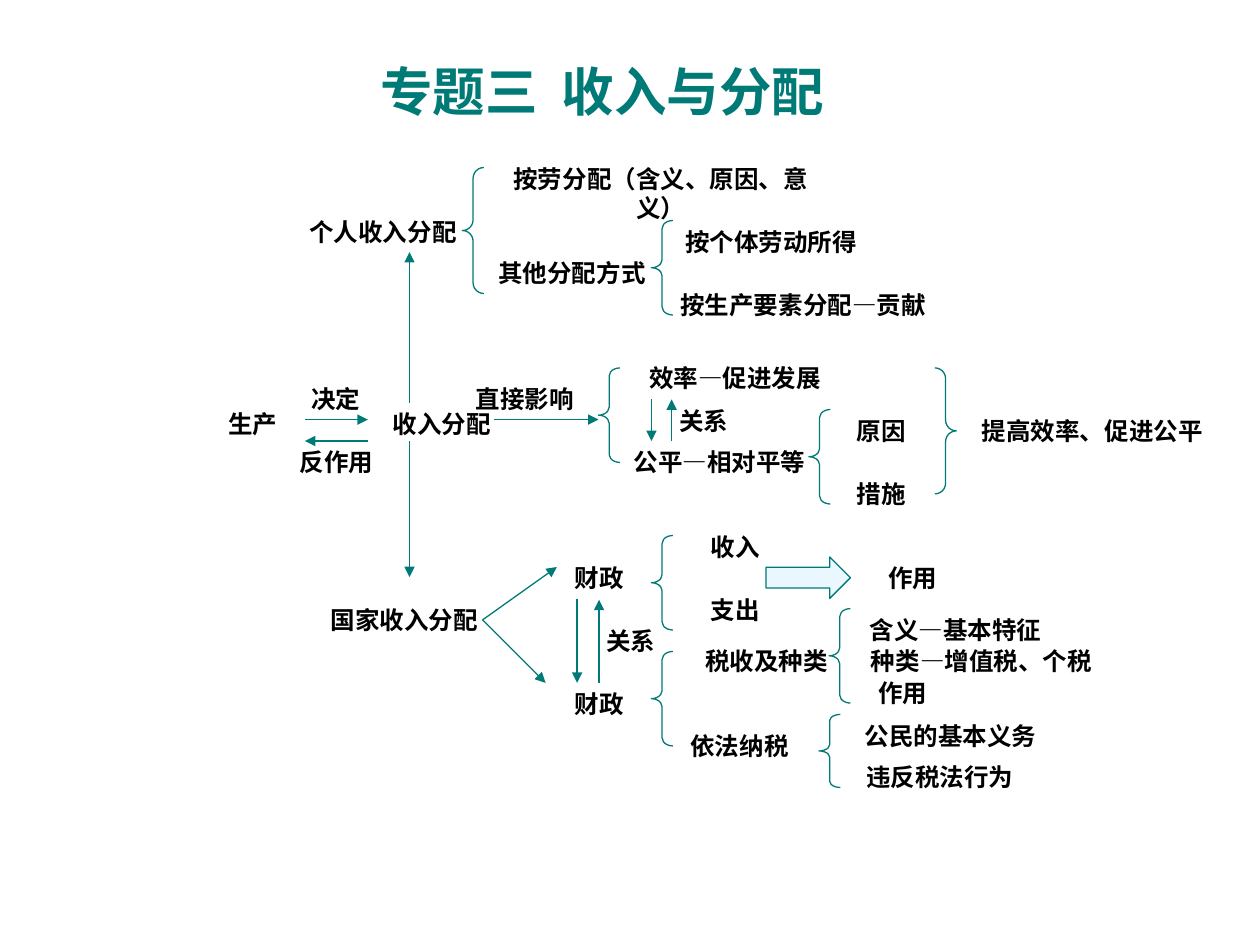
"""Build the concept map slide on income and distribution."""
import lxml.etree
import pptx
import pptx.dml.color
import pptx.enum.shapes
import pptx.enum.text
import pptx.oxml.ns
import pptx.util

TEAL = pptx.dml.color.RGBColor(0x00, 0x7A, 0x77)
PALE_BLUE = pptx.dml.color.RGBColor(0xEB, 0xF7, 0xFF)
BLACK = pptx.dml.color.RGBColor(0x00, 0x00, 0x00)
Inches = pptx.util.Inches
Shapes = pptx.enum.shapes.MSO_SHAPE
BRACE_WIDTH = 0.17


def write_text(shape, text, font="Times New Roman", size=14, color=BLACK, bold=True):
    """Fill a shape with one centred, wrapping paragraph."""
    frame = shape.text_frame
    frame.word_wrap = True
    frame.auto_size = pptx.enum.text.MSO_AUTO_SIZE.SHAPE_TO_FIT_TEXT
    paragraph = frame.paragraphs[0]
    paragraph.text = text
    paragraph.alignment = pptx.enum.text.PP_ALIGN.CENTER
    paragraph.font.name = font
    paragraph.font.size = pptx.util.Pt(size)
    paragraph.font.color.rgb = color
    paragraph.font.bold = bold


def add_labels(slide, left, top, labels):
    """Add labels given as text, x, y, width and line count; return their boxes."""
    boxes = []
    for text, x, y, width, lines in labels:
        height = 0.11 + 0.23 * lines
        box = slide.shapes.add_textbox(
            Inches(left + x), Inches(top + y), Inches(width), Inches(height))
        write_text(box, text)
        boxes.append(box)
    return boxes


def style_outline(shape):
    """Give a shape or connector the thin teal line."""
    shape.line.color.rgb = TEAL
    shape.line.width = pptx.util.Pt(0.75)


def add_arrows(slide, left, top, arrows):
    """Add straight arrows given as start and end points; return them."""
    connectors = []
    for start_x, start_y, end_x, end_y in arrows:
        connector = slide.shapes.add_connector(
            pptx.enum.shapes.MSO_CONNECTOR.STRAIGHT,
            Inches(left + start_x), Inches(top + start_y),
            Inches(left + end_x), Inches(top + end_y))
        style_outline(connector)
        qualify = pptx.oxml.ns.qn
        properties = connector._element.spPr
        line = properties.find(qualify("a:ln"))
        lxml.etree.SubElement(line, qualify("a:tailEnd"), type="triangle")
        lxml.etree.SubElement(properties, qualify("a:effectLst"))
        connectors.append(connector)
    return connectors


def add_braces(slide, left, top, braces, kind=Shapes.LEFT_BRACE):
    """Add braces given as x, y and height, with curves in scale with height."""
    for x, y, height in braces:
        brace = slide.shapes.add_shape(
            kind, Inches(left + x), Inches(top + y), Inches(BRACE_WIDTH), Inches(height))
        brace.adjustments[0] = height / 2
        brace.shadow.inherit = False
        brace.fill.background()
        style_outline(brace)


def add_title(slide, left, top, width, height):
    """Place and format the slide title."""
    title = slide.shapes.title
    title.left, title.top = Inches(left), Inches(top)
    title.width, title.height = Inches(width), Inches(height)
    write_text(title, "专题三  收入与分配", font="Arial", size=30, color=TEAL)


def add_production(slide, left, top):
    """Place production, distribution and the arrows around them."""
    add_labels(slide, left, top, [
        ("收入分配", 1.34, 1.2, 0.99, 1),
        ("决定", 0.58, 1, 0.83, 1),
        ("反作用", 0.5, 1.5, 1, 1),
        ("生产", 0, 1.2, 0.67, 1),
    ])
    add_arrows(slide, left, top, [
        (1.25, 1.5, 0.75, 1.5),
        (0.75, 1.33, 1.25, 1.33),
        (1.58, 1.2, 1.58, 0),
        (1.58, 1.5, 1.58, 2.58),
    ])


def add_personal_income(slide, left, top):
    """Place the personal income branch."""
    add_labels(slide, left, top, [
        ("个人收入分配", 0, 0.42, 1.42, 1),
        ("按劳分配（含义、原因、意义）", 1.5, 0, 2.83, 2),
        ("其他分配方式", 1.5, 0.75, 1.42, 1),
        ("按个体劳动所得", 3, 0.5, 1.58, 1),
        ("按生产要素分配—贡献", 2.92, 1, 2.25, 1),
    ])
    add_braces(slide, left, top, [(1.34, 0.08, 1), (2.84, 0.5, 0.75)])


def add_efficiency_and_fairness(slide, left, top):
    """Place the efficiency and fairness branch."""
    add_labels(slide, left, top, [
        ("直接影响", 0, 0.17, 0.99, 1),
        ("效率—促进发展", 1.33, 0, 1.67, 1),
        ("公平—相对平等", 1.25, 0.67, 1.58, 1),
        ("关系", 1.58, 0.34, 0.67, 1),
        ("原因", 2.91, 0.42, 0.83, 1),
        ("措施", 2.91, 0.92, 0.83, 1),
        ("提高效率、促进公平", 4, 0.42, 2, 1),
    ])
    add_arrows(slide, left, top, [
        (0.25, 0.5, 1.08, 0.5),
        (1.66, 0.67, 1.66, 0.34),
        (1.5, 0.34, 1.5, 0.67),
    ])
    add_braces(slide, left, top, [(1.08, 0.09, 0.75), (2.75, 0.42, 0.75)])
    add_braces(slide, left, top, [(3.75, 0.09, 1)], kind=Shapes.RIGHT_BRACE)


def add_state_income(slide, left, top):
    """Place the state income branch with public finance and taxation."""
    boxes = add_labels(slide, left, top, [
        ("财政", 1.92, 0.25, 0.67, 1),
        ("财政", 1.92, 1.25, 0.67, 1),
        ("国家收入分配", 0, 0.58, 1.42, 1),
        ("关系", 2.17, 0.75, 0.67, 1),
        ("收入", 2.92, 0, 0.83, 1),
        ("支出", 2.92, 0.5, 0.83, 1),
        ("作用", 4.33, 0.25, 0.83, 1),
        ("税收及种类", 2.92, 0.91, 1.33, 1),
        ("依法纳税", 2.83, 1.58, 1.08, 1),
        ("含义—基本特征", 4.25, 0.66, 1.67, 1),
        ("种类—增值税、个税", 4.25, 0.91, 2.08, 1),
        ("作用", 4.25, 1.16, 0.83, 1),
        ("公民的基本义务", 4.17, 1.5, 1.75, 1),
        ("违反税法行为", 4.17, 1.83, 1.58, 1),
    ])
    connectors = add_arrows(slide, left, top, [
        (1.33, 0.75, 1.92, 0.33),
        (1.33, 0.83, 1.33, 0.83),
        (1.33, 0.75, 1.83, 1.25),
        (2.08, 0.58, 2.08, 1.25),
        (2.25, 1.25, 2.25, 0.58),
    ])
    upper_finance, lower_finance = boxes[:2]
    connectors[-1].begin_connect(lower_finance, 0)
    connectors[-1].end_connect(upper_finance, 2)
    add_braces(slide, left, top, [
        (2.67, 0.08, 0.75), (2.67, 1, 0.75), (4.08, 0.66, 0.75), (4, 1.5, 0.58)])
    block_arrow = slide.shapes.add_shape(
        Shapes.RIGHT_ARROW, Inches(left + 3.58), Inches(top + 0.25),
        Inches(0.67), Inches(0.33))
    block_arrow.shadow.inherit = False
    block_arrow.fill.solid()
    block_arrow.fill.fore_color.rgb = PALE_BLUE
    style_outline(block_arrow)


def main():
    """Build and save the presentation."""
    presentation = pptx.Presentation()
    presentation.slide_width = Inches(10)
    presentation.slide_height = Inches(7.5)
    slide = presentation.slides.add_slide(presentation.slide_layouts[5])
    add_title(slide, 2.83, 0.42, 3.9, 0.6)
    add_production(slide, 1.67, 2)
    add_personal_income(slide, 2.33, 1.25)
    add_efficiency_and_fairness(slide, 3.67, 2.83)
    add_state_income(slide, 2.5, 4.17)
    presentation.save("out.pptx")


if __name__ == "__main__":
    main()
